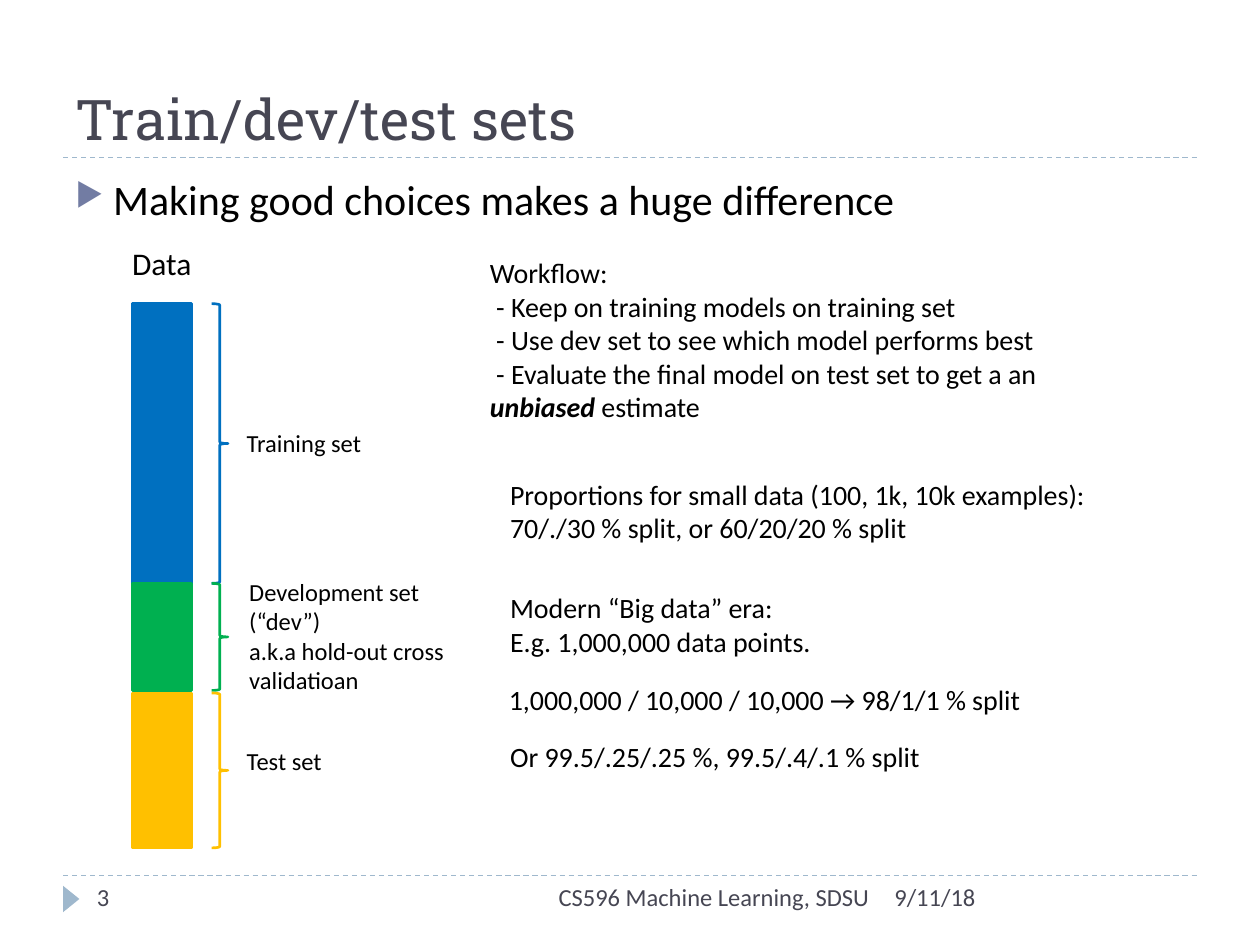
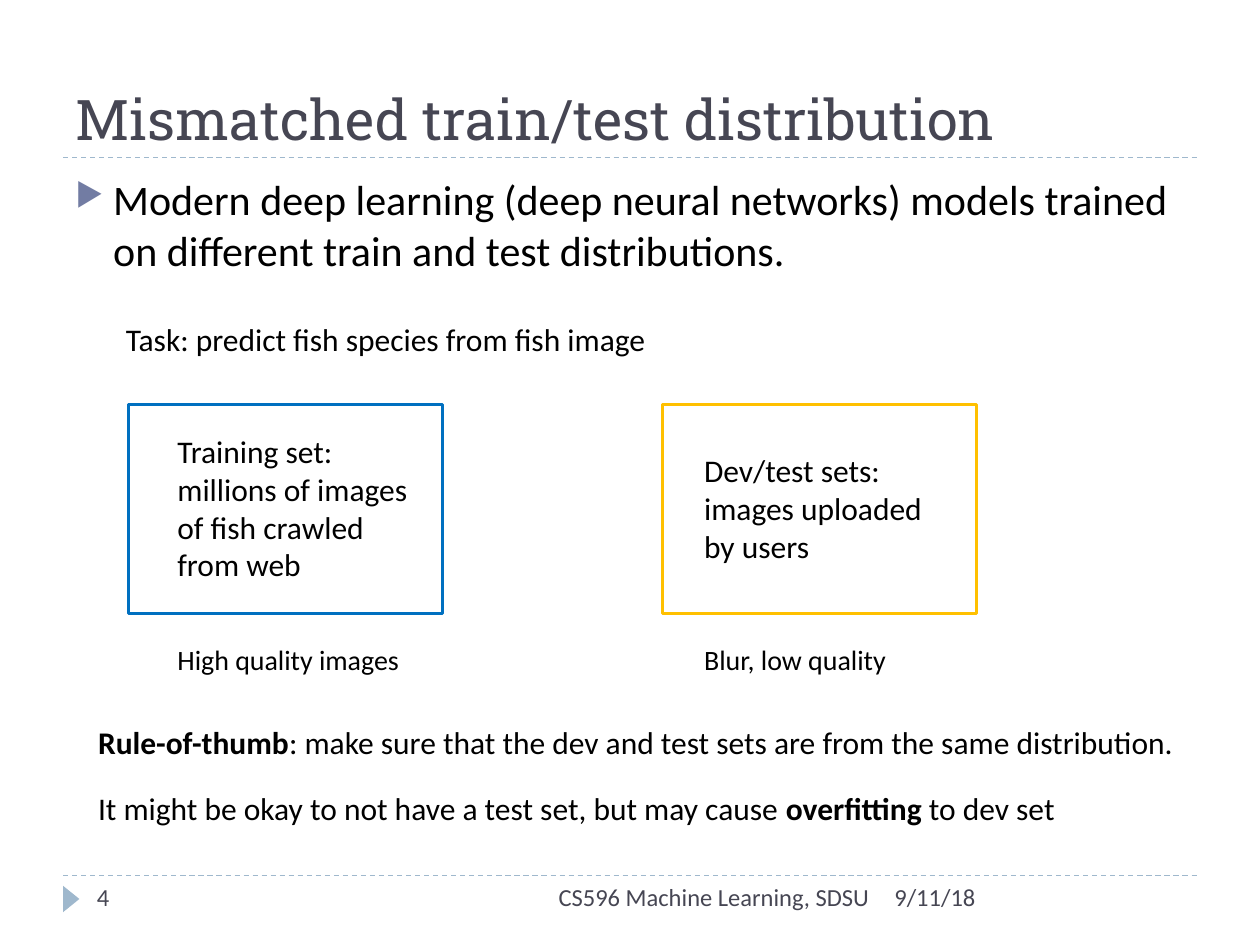
from dataclasses import dataclass

from lxml import etree
from pptx import Presentation
from pptx.dml.color import RGBColor
from pptx.enum.dml import MSO_LINE
from pptx.enum.shapes import MSO_CONNECTOR, MSO_SHAPE
from pptx.enum.text import MSO_ANCHOR, MSO_AUTO_SIZE, PP_ALIGN
from pptx.oxml.ns import qn
from pptx.slide import Slide
from pptx.util import Inches, Length, Pt

RECTANGLE, BRACE = MSO_SHAPE.RECTANGLE, MSO_SHAPE.RIGHT_BRACE
TRIANGLE = MSO_SHAPE.ISOSCELES_TRIANGLE
STRAIGHT, DASH = MSO_CONNECTOR.STRAIGHT, MSO_LINE.DASH
TOP, BOTTOM = MSO_ANCHOR.TOP, MSO_ANCHOR.BOTTOM
LEFT, RIGHT = PP_ALIGN.LEFT, PP_ALIGN.RIGHT
GROW, FIXED = MSO_AUTO_SIZE.SHAPE_TO_FIT_TEXT, MSO_AUTO_SIZE.NONE

# The slide is a grid of 100 columns by 75 rows
SLIDE_WIDTH, SLIDE_HEIGHT = Inches(10), Inches(7.5)
COLUMNS, ROWS = 100, 75

COLORS = {
    "ink": "000000", "title": "464653", "accent": "9FB8CD", "bullet": "727CA3",
    "train": "0070C0", "dev": "00B050", "test": "FFC000",
}
HEADING_FONT, BODY_FONT = "Roboto Slab", "Calibri"
COURSE, DATE = "CS596 Machine Learning, SDSU", "9/11/18"
MARGIN, RULE_ROWS, FOOTER_ROW = 5, (12.5, 69.5), 69.5


@dataclass(frozen=True)
class Area:
    """Place on the grid, in columns and rows."""
    left: float
    top: float
    width: float
    height: float

    def lengths(self) -> tuple[Length, ...]:
        return (column(self.left), row(self.top),
                column(self.width), row(self.height))


@dataclass(frozen=True)
class Span:
    text: str
    bold: bool | None = None
    italic: bool | None = None


@dataclass(frozen=True)
class Para:
    spans: tuple[Span, ...]
    margin: float = 0
    indent: float = 0
    bullet: str = ""


@dataclass(frozen=True)
class TextBox:
    area: Area
    paras: tuple[Para, ...]
    size: int
    color: str = "ink"
    font: str = BODY_FONT
    align: PP_ALIGN = LEFT
    anchor: MSO_ANCHOR = TOP
    fit: MSO_AUTO_SIZE = GROW


@dataclass(frozen=True)
class DataPart:
    color: str
    top: float
    height: float


@dataclass(frozen=True)
class ImageSet:
    color: str
    left: float
    text: Area
    description: str
    quality: str


def column(count: float) -> Length:
    return Length(round(SLIDE_WIDTH * count / COLUMNS))


def row(count: float) -> Length:
    return Length(round(SLIDE_HEIGHT * count / ROWS))


def color(name: str) -> RGBColor:
    return RGBColor.from_string(COLORS[name])


def plain(*lines: str, indent: float = 0) -> tuple[Para, ...]:
    return tuple(Para((Span(line),), indent=indent) for line in lines)


# Drawing functions
def add_bullet(properties: etree._Element, mark: str) -> None:
    fill = etree.SubElement(properties, qn("a:buClr"))
    etree.SubElement(fill, qn("a:srgbClr")).set("val", COLORS["bullet"])
    etree.SubElement(properties, qn("a:buSzPct")).set("val", "76000")
    etree.SubElement(properties, qn("a:buChar")).set("char", mark)


def add_text(page: Slide, item: TextBox) -> None:
    box = page.shapes.add_textbox(*item.area.lengths())
    frame = box.text_frame
    frame_format = {"word_wrap": True, "auto_size": item.fit,
                    "vertical_anchor": item.anchor}
    for name, value in frame_format.items():
        setattr(frame, name, value)
    for index, content in enumerate(item.paras):
        para = frame.add_paragraph() if index else frame.paragraphs[0]
        para.alignment = item.align
        properties = para._p.get_or_add_pPr()
        properties.set("marL", str(column(content.margin)))
        properties.set("indent", str(column(content.indent)))
        if content.bullet:
            add_bullet(properties, content.bullet)
        for part in content.spans:
            span = para.add_run()
            span.text = part.text
            font_format = {"name": item.font, "size": Pt(item.size),
                           "bold": part.bold, "italic": part.italic}
            for name, value in font_format.items():
                setattr(span.font, name, value)
            span.font.color.rgb = color(item.color)


def add_figure(page: Slide, kind: MSO_SHAPE, area: Area, fill: str = "",
               line: str = "", rotation: float = 0) -> None:
    figure = page.shapes.add_shape(kind, *area.lengths())
    figure.shadow.inherit = False
    figure.rotation = rotation
    if fill:
        figure.fill.solid()
        figure.fill.fore_color.rgb = color(fill)
    else:
        figure.fill.background()
    if line:
        figure.line.color.rgb = color(line)
        figure.line.width = Pt(1.5)
    else:
        figure.line.fill.background()


def add_rule(page: Slide, at_row: float) -> None:
    rule = page.shapes.add_connector(
        STRAIGHT, column(MARGIN), row(at_row), column(COLUMNS - MARGIN), row(at_row))
    rule.line.color.rgb = color("accent")
    rule.line.width = Pt(0.75)
    rule.line.dash_style = DASH
    etree.SubElement(rule._element.spPr, qn("a:effectLst"))


def add_page(deck: Presentation, number: int, title: str, statement: str) -> Slide:
    """Add a page with the shared rules, title, footer and leading bullet."""
    page = deck.slides.add_slide(deck.slide_layouts[6])
    for at_row in RULE_ROWS:
        add_rule(page, at_row)
    add_figure(page, TRIANGLE, Area(4.6, 70.7, 2.1, 1.3), "accent", rotation=90)
    add_text(page, TextBox(Area(MARGIN, 1.7, 90, 10.8), plain(title), 32, "title",
                           HEADING_FONT, anchor=BOTTOM, fit=FIXED))
    for left, width, text, align in (
        (70, 25, DATE, LEFT), (31.7, 38.3, COURSE, RIGHT), (6.7, 21.7, str(number), LEFT),
    ):
        add_text(page, TextBox(Area(left, FOOTER_ROW, width, 4), plain(text), 14,
                               "title", align=align, fit=FIXED))
    lead = Para((Span(statement),), margin=3, indent=-3, bullet="▶")
    add_text(page, TextBox(Area(MARGIN, 13.3, 90, 54), (lead,), 24, fit=FIXED))
    return page


# Slide content
DATA_PARTS = (
    DataPart("train", 24.1, 22.2),
    DataPart("dev", 46.3, 8.5),
    DataPart("test", 55, 12.3),
)
WORKFLOW = (
    *plain("Workflow:"),
    *plain("- Keep on training models on training set",
           "- Use dev set to see which model performs best", indent=0.5),
    Para((Span("- Evaluate the final model on test set to get a an "),
          Span("unbiased", bold=True, italic=True), Span(" estimate")), indent=0.5),
)
SPLIT_TEXTS = (
    TextBox(Area(9.5, 18.9, 8.1, 4), plain("Data"), 18),
    TextBox(Area(18.6, 33.5, 11.5, 3.4), plain("Training set"), 14),
    TextBox(Area(18.8, 45.3, 19, 10.4),
            plain("Development set (“dev”)", "a.k.a hold-out cross validatioan"), 14),
    TextBox(Area(18.6, 58.7, 9.1, 3.4), plain("Test set"), 14),
    TextBox(Area(37.9, 19.8, 49.7, 14.5), WORKFLOW, 16),
    TextBox(Area(39.5, 37.4, 49.4, 6.4),
            plain("Proportions for small data (100, 1k, 10k examples):",
                  "70/./30 % split, or 60/20/20 % split"), 16),
    TextBox(Area(39.5, 46.4, 45.3, 6.4),
            plain("Modern “Big data” era:", "E.g. 1,000,000 data points."), 16),
    TextBox(Area(39.4, 53.7, 44.2, 3.7),
            plain("1,000,000 / 10,000 / 10,000 → 98/1/1 % split"), 16),
    TextBox(Area(39.5, 58.2, 44.2, 3.7),
            plain("Or 99.5/.25/.25 %, 99.5/.4/.1 % split"), 16),
)
IMAGE_SETS = (
    ImageSet("train", 10.2, Area(13.1, 33.8, 20.4, 13.1),
             "Training set: millions of images of fish crawled from web",
             "High quality images"),
    ImageSet("test", 52.6, Area(54.9, 35.3, 20.4, 10.1),
             "Dev/test sets: images uploaded by users", "Blur, low quality"),
)
MISMATCH_TEXTS = (
    TextBox(Area(9, 24.9, 49, 4), plain("Task: predict fish species from fish image"), 18),
    TextBox(Area(6.8, 56.9, 90.9, 4), (Para((
        Span("Rule-of-thumb", bold=True),
        Span(": make sure that the dev and test sets are from the same distribution."),
    )),), 18),
    TextBox(Area(6.8, 62.1, 80.5, 4), (Para((
        Span("It might be okay to not have a test set, but may cause "),
        Span("overfitting", bold=True), Span(" to dev set"),
    )),), 18),
)


def build_split_page(deck: Presentation) -> None:
    page = add_page(deck, 3, "Train/dev/test sets",
                    "Making good choices makes a huge difference")
    for part in DATA_PARTS:
        add_figure(page, RECTANGLE, Area(10.5, part.top, 4.7, part.height),
                   part.color, part.color)
        add_figure(page, BRACE, Area(16.8, part.top, 1.3, part.height), line=part.color)
    for item in SPLIT_TEXTS:
        add_text(page, item)


def build_mismatch_page(deck: Presentation) -> None:
    page = add_page(deck, 4, "Mismatched train/test distribution",
                    "Modern deep learning (deep neural networks) models trained "
                    "on different train and test distributions.")
    for image_set in IMAGE_SETS:
        add_figure(page, RECTANGLE, Area(image_set.left, 32.1, 24.9, 16.6),
                   line=image_set.color)
        add_text(page, TextBox(image_set.text, plain(image_set.description), 18))
        add_text(page, TextBox(Area(image_set.text.left, 50.5, 20.1, 3.7),
                               plain(image_set.quality), 16))
    for item in MISMATCH_TEXTS:
        add_text(page, item)


def main() -> None:
    deck = Presentation()
    deck.slide_width, deck.slide_height = SLIDE_WIDTH, SLIDE_HEIGHT
    build_split_page(deck)
    build_mismatch_page(deck)
    deck.save("out.pptx")


if __name__ == "__main__":
    main()
